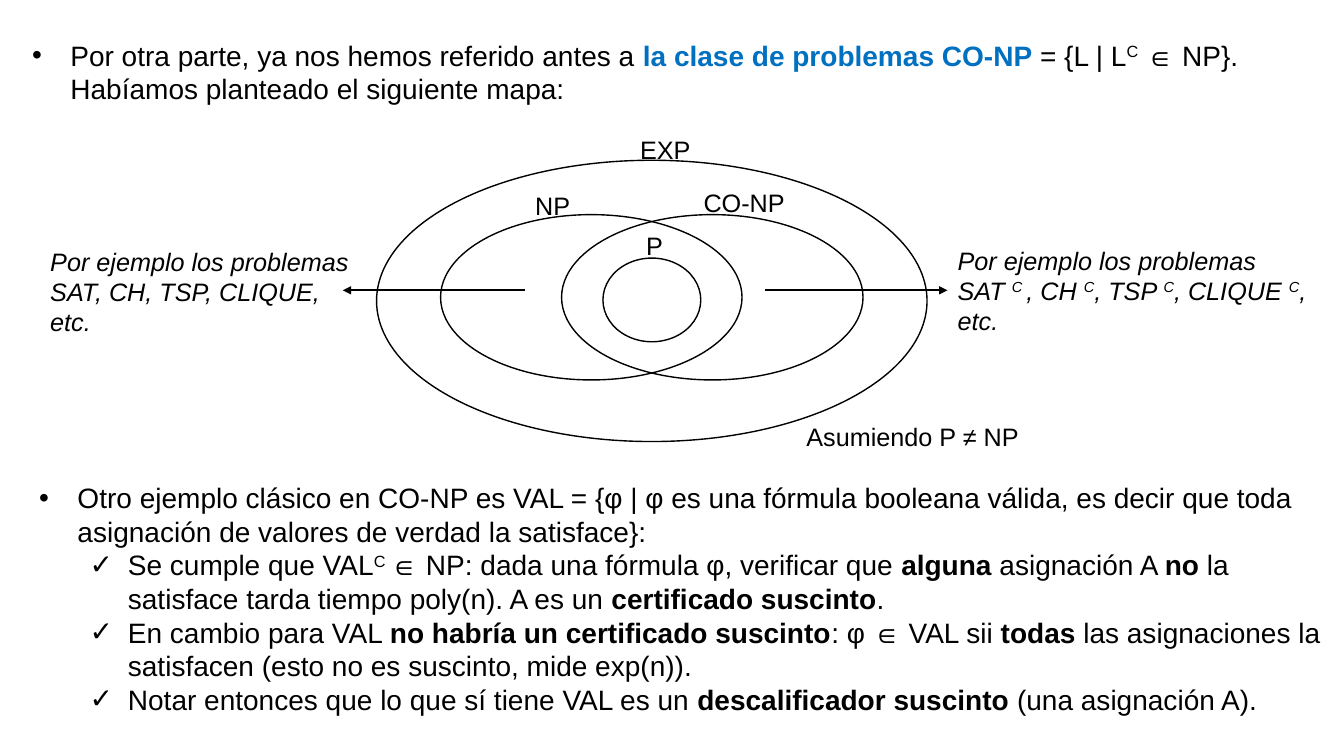
from dataclasses import dataclass
from lxml import etree
from pptx import Presentation
from pptx import util as u
from pptx.dml.color import RGBColor
from pptx.enum import shapes, text
from pptx.oxml.ns import qn


@dataclass(frozen=True)
class Theme:
    wide: float = 13.33
    high: float = 7.5
    font: str = "Arial"
    ink: str = "000000"
    blue: str = "0070C0"
    body: int = 20
    label: int = 18
    hang: float = 0.38
    deep: float = 0.88
    thin: float = 1
    bold: float = 1.5


T = Theme()


def across(pct):
    return u.Inches(T.wide * pct / 100)


def down(pct):
    return u.Inches(T.high * pct / 100)


def place(x, y, w, h):
    return across(x), down(y), across(w), down(h)


def add_run(para, words, size, style=""):
    run = para.add_run()
    run.text = words
    font = run.font
    font.name, font.size = T.font, u.Pt(size)
    font.bold, font.italic = "b" in style, "i" in style
    font.color.rgb = RGBColor.from_string(T.blue if "c" in style else T.ink)
    if "^" in style:
        font._element.set("baseline", "30000")


def indent(para, left, mark):
    props = para._p.get_or_add_pPr()
    props.set("marL", str(u.Inches(left)))
    props.set("indent", str(-u.Inches(T.hang) if mark else 0))
    if mark:
        etree.SubElement(props, qn("a:buFont")).set("typeface", T.font)
        etree.SubElement(props, qn("a:buChar")).set("char", mark)


def add_text(slide, box, paras, size, wrap=True):
    frame = slide.shapes.add_textbox(*place(*box)).text_frame
    frame.word_wrap = wrap
    frame.auto_size = text.MSO_AUTO_SIZE.SHAPE_TO_FIT_TEXT
    for i, (left, mark, runs) in enumerate(paras):
        para = frame.add_paragraph() if i else frame.paragraphs[0]
        if left:
            para.level = 1 if left == T.deep else 0
            indent(para, left, mark)
        for words, *style in runs:
            add_run(para, words, size, *style)


def add_note(slide, box, lines):
    add_text(slide, box, [(0, "", runs) for runs in lines], T.label)


def add_label(slide, x, y, w, words):
    add_text(slide, (x, y, w, 5.33), [(0, "", [(words,)])], T.label, False)


def add_oval(slide, mid, row, w, h):
    box = place(mid - w / 2, row - h / 2, w, h)
    oval = slide.shapes.add_shape(shapes.MSO_SHAPE.FLOWCHART_CONNECTOR, *box)
    oval.shadow.inherit = False
    oval.fill.background()
    oval.line.color.rgb = RGBColor.from_string(T.ink)
    oval.line.width = u.Pt(T.thin)


def add_arrow(slide, start, end, row):
    arrow = slide.shapes.add_connector(
        shapes.MSO_CONNECTOR.STRAIGHT, across(start), down(row), across(end), down(row))
    arrow.line.color.rgb = RGBColor.from_string(T.ink)
    arrow.line.width = u.Pt(T.bold)
    etree.SubElement(arrow.line._get_or_add_ln(), qn("a:tailEnd")).set("type", "triangle")
    etree.SubElement(arrow._element.spPr, qn("a:effectLst"))


def add_map(slide):
    mid = 48.5
    for side in (-4.5, 4.5):
        add_oval(slide, mid + side, 39.33, 22.43, 21.87)
    add_oval(slide, mid, 39.8, 40.96, 37.2)
    add_oval(slide, mid, 39.67, 7.28, 11.07)
    for way in (-1, 1):
        add_arrow(slide, 48 + way * 8.93, 48 + way * 22.5, 38.4)
    for label in ((46.89, 17.07, 5.33, "EXP"), (39.08, 24.53, 4.13, "NP"),
                  (51.61, 24.13, 7.65, "CO-NP"), (47.34, 29.87, 2.78, "P")):
        add_label(slide, *label)


def add_notes(slide):
    add_note(slide, (3, 31.87, 25.21, 13.47), [
        [("Por ejemplo los problemas SAT, CH, TSP, CLIQUE, ", "i")],
        [("etc.", "i")]])
    names = [("SAT ", "i"), ("C ", "i^")]
    for name in ("CH", "TSP", "CLIQUE"):
        names += [(f", {name} ", "i"), ("C", "i^")]
    add_note(slide, (70.52, 31.73, 29.56, 13.47), [
        [("Por ejemplo los problemas ", "i")],
        names + [(", ", "i")],
        [("etc.", "i")]])
    add_note(slide, (59.26, 55.07, 17.93, 5.33), [[("Asumiendo P ≠ NP ",)]])


def add_body(slide):
    add_text(slide, (1.65, 4.4, 94.07, 10.27), [(T.hang, "•", [
        ("Por otra parte, ya nos hemos referido antes a ",),
        ("la clase de problemas CO-NP ", "bc"), ("= {L | L",), ("C", "^"),
        (" ∈ NP}. Habíamos planteado el siguiente mapa: ",)])], T.body)
    add_text(slide, (2.18, 62.93, 97.82, 37.2), [
        (T.hang, "•", [("Otro ejemplo clásico en CO-NP es VAL = {φ | φ es una fórmula "
                        "booleana válida, es decir que toda ",)]),
        (T.hang, "", [("asignación de valores de verdad la satisface}:",)]),
        (T.deep, "✓", [
            ("Se cumple que VAL",), ("C ", "^"),
            ("∈ NP: dada una fórmula φ, verificar que ",), ("alguna", "b"),
            (" asignación A ",), ("no", "b"),
            (" la satisface tarda tiempo poly(n). A es un ",),
            ("certificado suscinto", "b"), (".",)]),
        (T.deep, "✓", [
            ("En cambio para VAL ",), ("no habría un certificado suscinto", "b"),
            (": φ ∈ VAL sii ",), ("todas", "b"),
            (" las asignaciones la satisfacen (esto no es suscinto, mide exp(n)). ",)]),
        (T.deep, "✓", [
            ("Notar entonces que lo que sí tiene VAL es un ",),
            ("descalificador suscinto ", "b"), ("(una asignación A). ",)]),
    ], T.body)


def main():
    deck = Presentation()
    deck.slide_width, deck.slide_height = u.Inches(T.wide), u.Inches(T.high)
    slide = deck.slides.add_slide(deck.slide_layouts[6])
    add_map(slide)
    add_notes(slide)
    add_body(slide)
    deck.save("out.pptx")


main()
